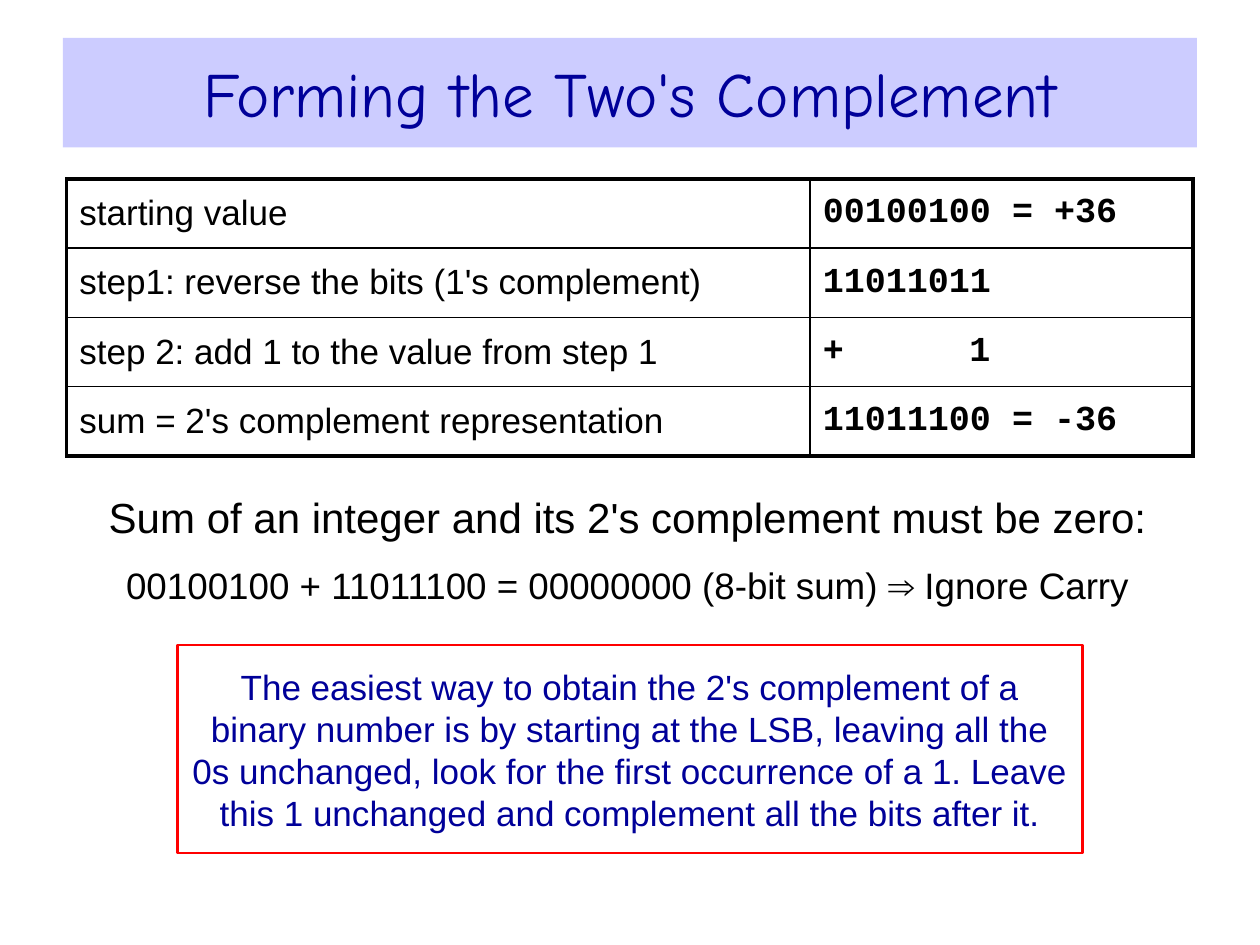
from dataclasses import dataclass
from typing import Optional

from lxml.etree import SubElement
from pptx import Presentation
from pptx.dml.color import RGBColor as RGB
from pptx.enum.shapes import MSO_SHAPE as Shape
from pptx.enum.text import MSO_ANCHOR as Anchor, PP_ALIGN as Align
from pptx.oxml.ns import qn
from pptx.util import Inches, Pt

WIDTH, HEIGHT = Inches(10), Inches(7.5)


@dataclass(frozen=True)
class Theme:
    ink: str = "000000"
    navy: str = "000099"
    lavender: str = "CCCCFF"
    red: str = "FF0000"
    heading: str = "Comic Neue"
    body: str = "Arial"
    mono: str = "Courier New"
    title_pt: int = 36
    lead_pt: int = 24
    sum_pt: int = 21
    text_pt: int = 20
    outer_pt: float = 2.25
    inner_pt: float = 1
    box_line_pt: float = 1.5


T = Theme()


@dataclass(frozen=True)
class Box:
    """Place and size in percent of the slide's width and height."""
    left: float
    top: float
    width: float
    height: float

    def emu(self) -> tuple[int, ...]:
        shares = (self.left, self.top, self.width, self.height)
        return tuple(round(v * full / 100) for v, full in zip(shares, (WIDTH, HEIGHT) * 2))


@dataclass(frozen=True)
class Step:
    label: str
    bits: str


STEPS = [
    Step("starting value", "00100100 = +36"),
    Step("step1: reverse the bits (1's complement)", "11011011"),
    Step("step 2: add 1 to the value from step 1", "+\t1"),
    Step("sum = 2's complement representation", "11011100 = -36"),
]
LABEL_SHARE = 0.66
BYTE_WIDTH = Inches(1.33)  # eight monospaced digits


def write(p, text: str, *, size: float = T.text_pt, font: str = T.body, color: str = T.ink,
          bold: bool = False, align=Align.LEFT, before: float = 0) -> None:
    p.alignment, p.space_before = align, Pt(before)
    r = p.add_run()
    r.text = text
    r.font.size, r.font.name, r.font.bold = Pt(size), font, bold
    r.font.color.rgb = RGB.from_string(color)


def set_frame(tf, anchor, inset_y: float) -> None:
    tf.word_wrap, tf.vertical_anchor = True, anchor
    tf.margin_left = tf.margin_right = Inches(0.1)
    tf.margin_top = tf.margin_bottom = Inches(inset_y)


def add_panel(s, box: Box, text: str, *, fill: Optional[str] = None, line: Optional[str] = None,
              inset_y: float = 0.05, **fmt) -> None:
    sp = s.shapes.add_shape(Shape.RECTANGLE, *box.emu())
    sp.shadow.inherit = False
    if fill:
        sp.fill.solid()
        sp.fill.fore_color.rgb = RGB.from_string(fill)
    else:
        sp.fill.background()
    if line:
        sp.line.color.rgb, sp.line.width = RGB.from_string(line), Pt(T.box_line_pt)
    else:
        sp.line.fill.background()
    set_frame(sp.text_frame, Anchor.MIDDLE, inset_y)
    write(sp.text_frame.paragraphs[0], text, align=Align.CENTER, **fmt)


def set_borders(cell, outer_sides: set[str]) -> None:
    tc_pr = cell._tc.get_or_add_tcPr()
    for i, side in enumerate("LRTB"):
        width = T.outer_pt if side in outer_sides else T.inner_pt
        ln = SubElement(tc_pr, qn(f"a:ln{side}"), w=str(Pt(width)))
        SubElement(SubElement(ln, qn("a:solidFill")), qn("a:srgbClr"), val=T.ink)
        tc_pr.remove(ln)
        tc_pr.insert(i, ln)  # borders come before the fill


def add_steps(s, box: Box, steps: list[Step]) -> None:
    left, top, width, height = box.emu()
    table = s.shapes.add_table(len(steps), 2, left, top, width, height).table
    table.first_row = table.horz_banding = False
    table.columns[0].width = round(width * LABEL_SHARE)
    table.columns[1].width = width - table.columns[0].width
    for row, step in enumerate(steps):
        for col, text in enumerate((step.label, step.bits)):
            cell = table.cell(row, col)
            cell.fill.background()
            cell.vertical_anchor = Anchor.MIDDLE
            p = cell.text_frame.paragraphs[0]
            write(p, text, font=T.mono if col else T.body, bold=bool(col))
            if "\t" in text:  # line the last digit up with the byte above
                tabs = SubElement(p._p.get_or_add_pPr(), qn("a:tabLst"))
                SubElement(tabs, qn("a:tab"), pos=str(BYTE_WIDTH), algn="r")
            outer = {"R" if col else "L"}
            outer |= {"T"} if row == 0 else set()
            outer |= {"B"} if row == len(steps) - 1 else set()
            set_borders(cell, outer)


def add_check(s, box: Box) -> None:
    tf = s.shapes.add_textbox(*box.emu()).text_frame
    set_frame(tf, Anchor.TOP, 0.15)
    write(tf.paragraphs[0], "Sum of an integer and its 2's complement must be zero:",
          size=T.lead_pt, align=Align.CENTER)
    write(tf.add_paragraph(), "00100100 + 11011100 = 00000000 (8-bit sum) ⇒ Ignore Carry",
          size=T.sum_pt, align=Align.CENTER, before=T.lead_pt / 2)


def main() -> None:
    prs = Presentation()
    prs.slide_width, prs.slide_height = WIDTH, HEIGHT
    s = prs.slides.add_slide(prs.slide_layouts[6])

    # Title band
    add_panel(s, Box(5, 4, 90, 11.6), "Forming the Two's Complement", fill=T.lavender,
              size=T.title_pt, font=T.heading, color=T.navy)
    # Worked example and its check
    add_steps(s, Box(5.3, 18.93, 89.4, 29.33), STEPS)
    add_check(s, Box(6.7, 50, 86.2, 16.27))
    # Shortcut
    add_panel(s, Box(14.1, 68.27, 71.8, 22),
              "The easiest way to obtain the 2's complement of a binary number is by starting "
              "at the LSB, leaving all the 0s unchanged, look for the first occurrence of a 1. "
              "Leave this 1 unchanged and complement all the bits after it.",
              line=T.red, inset_y=0.15, color=T.navy)

    prs.save("out.pptx")


if __name__ == "__main__":
    main()
